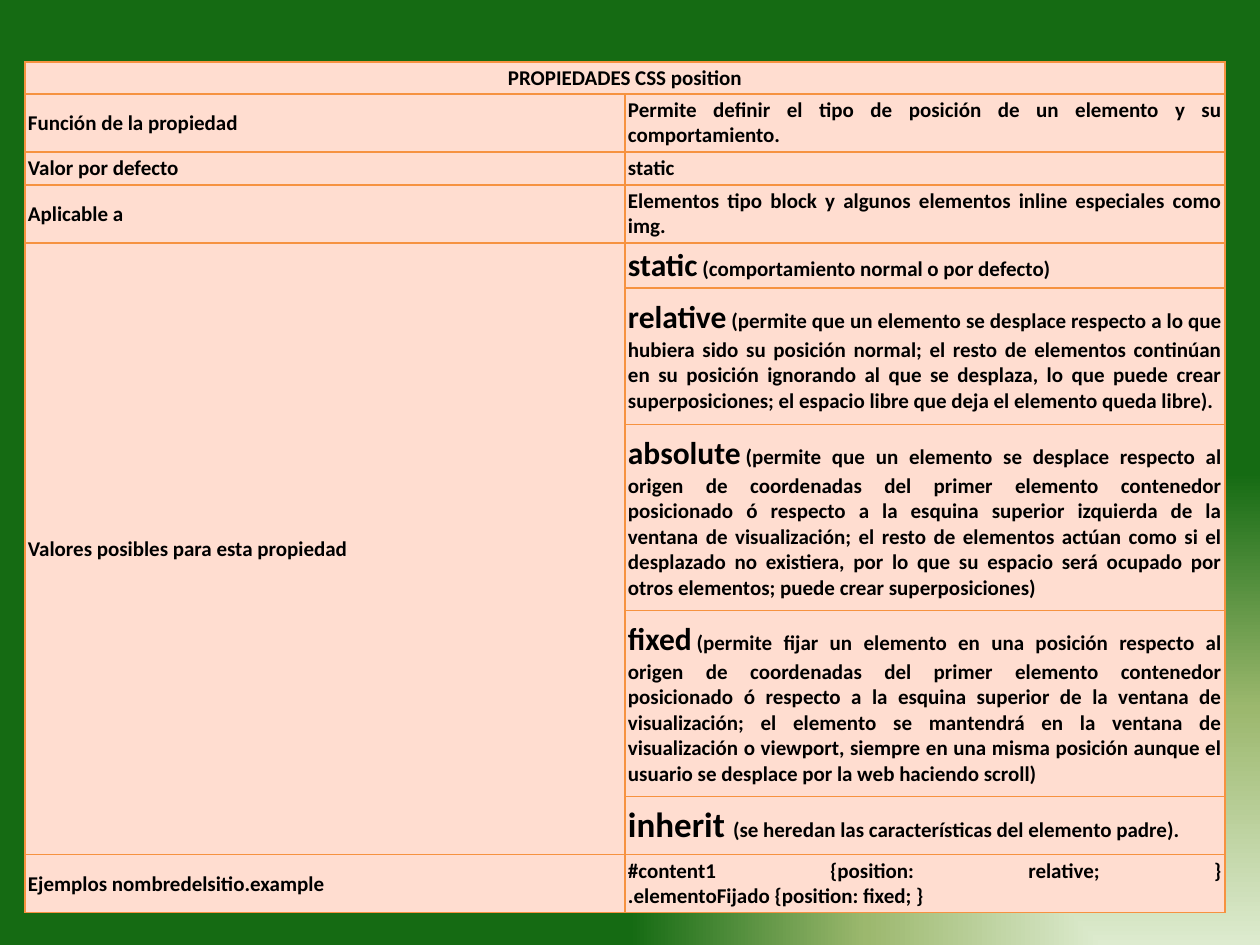
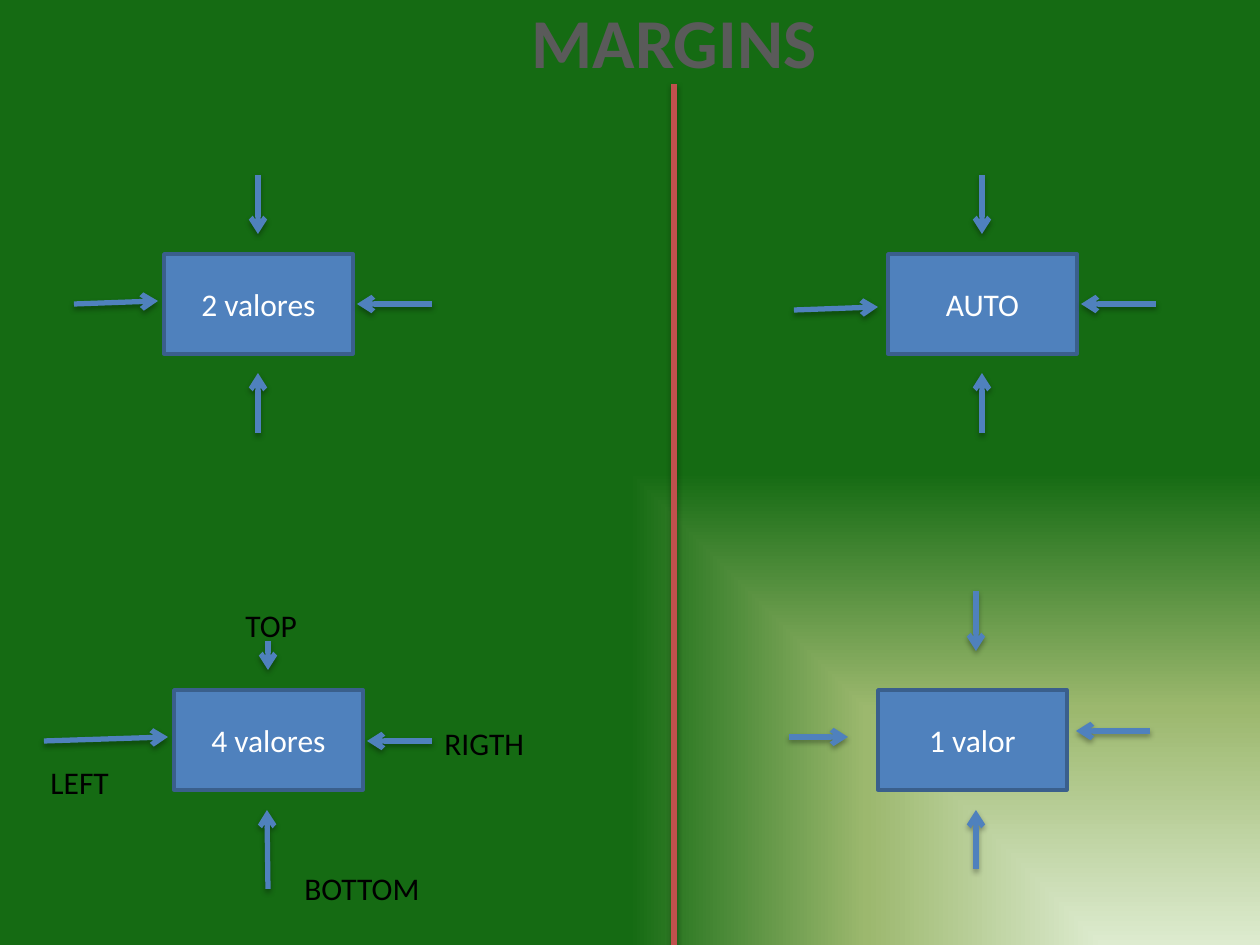
"""Build two slides: the CSS position table and the CSS margin diagrams."""
from dataclasses import dataclass
from typing import NamedTuple

from pptx import Presentation, dml, oxml, util as u
from pptx.dml.color import RGBColor
from pptx.enum import shapes, text
from pptx.oxml import ns

PIXEL = 914400 // 126
SLIDE_WIDTH, SLIDE_HEIGHT = 1260, 945
FONT = "Calibri"
COLOURS = {
    "light": "DDEBCF",
    "olive": "9CB86E",
    "green": "156B13",
    "cell": "FFDDD0",
    "border": "F69240",
    "blue": "4F81BD",
    "blue_edge": "3A5F8C",
    "red": "C0504D",
    "title": "5A5A5A",
    "black": "000000",
    "white": "FFFFFF",
}
TITLE_ONLY, BLANK = 5, 6
BOX_WIDTH, BOX_HEIGHT = 189, 100
ALIGN = text.PP_ALIGN
ANCHOR = text.MSO_ANCHOR


class Arrow(NamedTuple):
    """Start and end of an arrow, in pixels from the corner of its box."""
    start_x: int
    start_y: int
    end_x: int
    end_y: int


@dataclass
class MarginDiagram:
    """A labelled box with arrows pointing at its sides."""
    label: str
    left: int
    top: int
    arrows: list[Arrow]


class Label(NamedTuple):
    """A free text naming one side."""
    words: str
    left: int
    top: int
    width: int


@dataclass
class PropertyRow:
    """A table row: its name, an emphasised keyword and the explanation."""
    height: int
    name: str
    explanation: str
    keyword: str = ""
    keyword_size: int = 18


HEADING = "PROPIEDADES CSS position"
HEADING_HEIGHT = 32
PROPERTY_ROWS = [
    PropertyRow(58, "Función de la propiedad",
                "Permite definir el tipo de posición de un elemento y su comportamiento."),
    PropertyRow(33, "Valor por defecto", "static"),
    PropertyRow(58, "Aplicable a",
                "Elementos tipo block y algunos elementos inline especiales como img."),
    PropertyRow(45, "Valores posibles para esta propiedad",
                "\u00a0(comportamiento normal o por defecto)", "static"),
    PropertyRow(137, "",
                "\u00a0(permite que un elemento se desplace respecto a lo que hubiera sido su "
                "posición normal; el resto de elementos continúan en su posición ignorando al "
                "que se desplaza, lo que puede crear superposiciones; el espacio libre que deja "
                "el elemento queda libre).", "relative"),
    PropertyRow(186, "",
                "\u00a0(permite que un elemento se desplace respecto al origen de coordenadas "
                "del primer elemento contenedor posicionado ó respecto a la esquina superior "
                "izquierda de la ventana de visualización; el resto de elementos actúan como si "
                "el desplazado no existiera, por lo que su espacio será ocupado por otros "
                "elementos; puede crear superposiciones)", "absolute"),
    PropertyRow(186, "",
                "\u00a0(permite fijar un elemento en una posición respecto al origen de "
                "coordenadas del primer elemento contenedor posicionado ó respecto a la esquina "
                "superior de la ventana de visualización; el elemento se mantendrá en la ventana "
                "de visualización o viewport, siempre en una misma posición aunque el usuario se "
                "desplace por la web haciendo scroll)", "fixed"),
    PropertyRow(58, "", "(se heredan las características del elemento padre).",
                "inherit\u00a0", 20),
    PropertyRow(58, "Ejemplos nombredelsitio.example",
                "#content1 {position: relative; }\n.elementoFijado {position: fixed; }"),
]
FIRST_VALUE_ROW, LAST_VALUE_ROW = 4, 8

FROM_TOP = Arrow(94, -79, 94, -20)
FROM_RIGHT = Arrow(268, 50, 193, 50)
FROM_BOTTOM = Arrow(94, 179, 94, 119)
DIAGRAMS = [
    MarginDiagram("2 valores", 164, 254,
                  [Arrow(-90, 50, -6, 47), FROM_TOP, FROM_RIGHT, FROM_BOTTOM]),
    MarginDiagram("AUTO", 888, 254,
                  [Arrow(-94, 56, -10, 53), FROM_TOP, FROM_RIGHT, FROM_BOTTOM]),
    MarginDiagram("4 valores", 174, 690,
                  [Arrow(-130, 51, -6, 47), Arrow(94, -49, 94, -20),
                   Arrow(258, 51, 193, 51), Arrow(94, 199, 93, 120)]),
    MarginDiagram("1 valor", 878, 690,
                  [Arrow(-89, 47, -30, 47), Arrow(98, -99, 98, -39),
                   Arrow(272, 41, 198, 41), Arrow(98, 179, 98, 120)]),
]
LABELS = [
    Label("TOP", 233, 600, 154),
    Label("RIGTH", 432, 718, 118),
    Label("BOTTOM", 292, 863, 159),
    Label("LEFT", 38, 757, 118),
]
LABEL_HEIGHT = 52


def px(*lengths: int) -> list[u.Emu]:
    """Turn pixel lengths into EMU."""
    return [u.Emu(length * PIXEL) for length in lengths]


def colour(name: str) -> RGBColor:
    """Look up a named colour."""
    return RGBColor.from_string(COLOURS[name])


def write(frame, words: str, *, size: int = 18, ink: str = "black",
          bold: bool = False, align=ALIGN.LEFT) -> None:
    """Add formatted words to the first paragraph; a newline breaks the line."""
    paragraph = frame.paragraphs[0]
    paragraph.alignment = align
    for index, line in enumerate(words.split("\n")):
        if index:
            paragraph.add_line_break()
        run = paragraph.add_run()
        run.text = line
        run.font.name = FONT
        run.font.size = u.Pt(size)
        run.font.bold = bold
        run.font.color.rgb = colour(ink)


def paint_background(master) -> None:
    """Give the master a gradient that is lightest in the bottom right corner."""
    master.background.fill.solid()
    solid = master.element.find(".//" + ns.qn("p:bgPr") + "/" + ns.qn("a:solidFill"))
    stops = "".join(
        f'<a:gs pos="{position}"><a:srgbClr val="{COLOURS[name]}"/></a:gs>'
        for position, name in ((0, "light"), (50000, "olive"), (100000, "green")))
    gradient = oxml.parse_xml(
        f'<a:gradFill {ns.nsdecls("a")} rotWithShape="1"><a:gsLst>{stops}</a:gsLst>'
        '<a:path path="rect"><a:fillToRect l="100000" t="100000"/></a:path>'
        '<a:tileRect r="-100000" b="-100000"/></a:gradFill>')
    solid.getparent().replace(solid, gradient)


def format_cell(cell) -> None:
    """Set the borders, fill, insets and anchor of a cell."""
    properties = cell._tc.get_or_add_tcPr()
    for side in ("lnL", "lnR", "lnT", "lnB"):
        properties.append(oxml.parse_xml(
            f'<a:{side} {ns.nsdecls("a")} w="9525"><a:solidFill>'
            f'<a:srgbClr val="{COLOURS["border"]}"/></a:solidFill></a:{side}>'))
    cell.fill.solid()
    cell.fill.fore_color.rgb = colour("cell")
    cell.margin_left = cell.margin_right = cell.margin_top = cell.margin_bottom = px(3)[0]
    cell.vertical_anchor = ANCHOR.MIDDLE


def draw_property_table(slide) -> None:
    """Draw the table that explains the position property."""
    heights = [HEADING_HEIGHT] + [row.height for row in PROPERTY_ROWS]
    frame = slide.shapes.add_table(len(heights), 2, *px(25, 62, 1200, sum(heights)))
    table = frame.table
    table.first_row = table.horz_banding = False
    for row, height in zip(table.rows, heights):
        row.height = px(height)[0]
    for cell in table.iter_cells():
        format_cell(cell)
    table.cell(0, 0).merge(table.cell(0, 1))
    table.cell(FIRST_VALUE_ROW, 0).merge(table.cell(LAST_VALUE_ROW, 0))

    body = {"size": 12, "bold": True, "align": ALIGN.JUSTIFY}
    write(table.cell(0, 0).text_frame, HEADING, size=12, bold=True, align=ALIGN.CENTER)
    for index, row in enumerate(PROPERTY_ROWS, start=1):
        if row.name:
            write(table.cell(index, 0).text_frame, row.name, **body)
        explanation = table.cell(index, 1).text_frame
        if row.keyword:
            write(explanation, row.keyword, **{**body, "size": row.keyword_size})
        write(explanation, row.explanation, **body)


def draw_line(slide, points: tuple[int, ...], ink: str, arrowhead: bool = False) -> None:
    """Draw a shadowed straight line, with an arrowhead at its end if asked."""
    connector = slide.shapes.add_connector(shapes.MSO_CONNECTOR.STRAIGHT, *px(*points))
    connector.line.color.rgb = colour(ink)
    connector.line.width = u.Pt(3)
    properties = connector.element.spPr
    if arrowhead:
        properties.find(ns.qn("a:ln")).append(
            oxml.parse_xml(f'<a:tailEnd {ns.nsdecls("a")} type="arrow"/>'))
    properties.append(oxml.parse_xml(
        f'<a:effectLst {ns.nsdecls("a")}><a:outerShdw blurRad="40000" dist="23000" '
        f'dir="5400000" rotWithShape="0"><a:srgbClr val="{COLOURS["black"]}">'
        '<a:alpha val="35000"/></a:srgbClr></a:outerShdw></a:effectLst>'))


def draw_diagram(slide, diagram: MarginDiagram) -> None:
    """Draw a box with its label and arrows."""
    left, top = diagram.left, diagram.top
    box = slide.shapes.add_shape(shapes.MSO_SHAPE.RECTANGLE,
                                 *px(left, top, BOX_WIDTH, BOX_HEIGHT))
    box.shadow.inherit = False
    box.fill.solid()
    box.fill.fore_color.rgb = colour("blue")
    box.line.color.rgb = colour("blue_edge")
    box.line.width = u.Pt(2)
    box.text_frame.vertical_anchor = ANCHOR.MIDDLE
    write(box.text_frame, diagram.label, ink="white", align=ALIGN.CENTER)
    for arrow in diagram.arrows:
        draw_line(slide, (left + arrow.start_x, top + arrow.start_y,
                          left + arrow.end_x, top + arrow.end_y), "blue", arrowhead=True)


def draw_label(slide, label: Label) -> None:
    """Write the name of a side."""
    box = slide.shapes.add_textbox(*px(label.left, label.top, label.width, LABEL_HEIGHT))
    box.text_frame.word_wrap = True
    write(box.text_frame, label.words)


def place_title(slide, words: str) -> None:
    """Move and format the title placeholder."""
    title = slide.shapes.title
    title.left, title.top, title.width, title.height = px(474, 0, 400, 80)
    title.text_frame.vertical_anchor = ANCHOR.MIDDLE
    write(title.text_frame, words, size=40, ink="title", bold=True, align=ALIGN.CENTER)


def main() -> None:
    """Build and save the presentation."""
    presentation = Presentation()
    presentation.slide_width, presentation.slide_height = px(SLIDE_WIDTH, SLIDE_HEIGHT)
    paint_background(presentation.slide_master)
    layouts = presentation.slide_layouts

    draw_property_table(presentation.slides.add_slide(layouts[BLANK]))

    margins = presentation.slides.add_slide(layouts[TITLE_ONLY])
    place_title(margins, "MARGINS")
    draw_line(margins, (674, 84, 674, SLIDE_HEIGHT), "red")
    for diagram in DIAGRAMS:
        draw_diagram(margins, diagram)
    for label in LABELS:
        draw_label(margins, label)

    presentation.save("out.pptx")


main()
